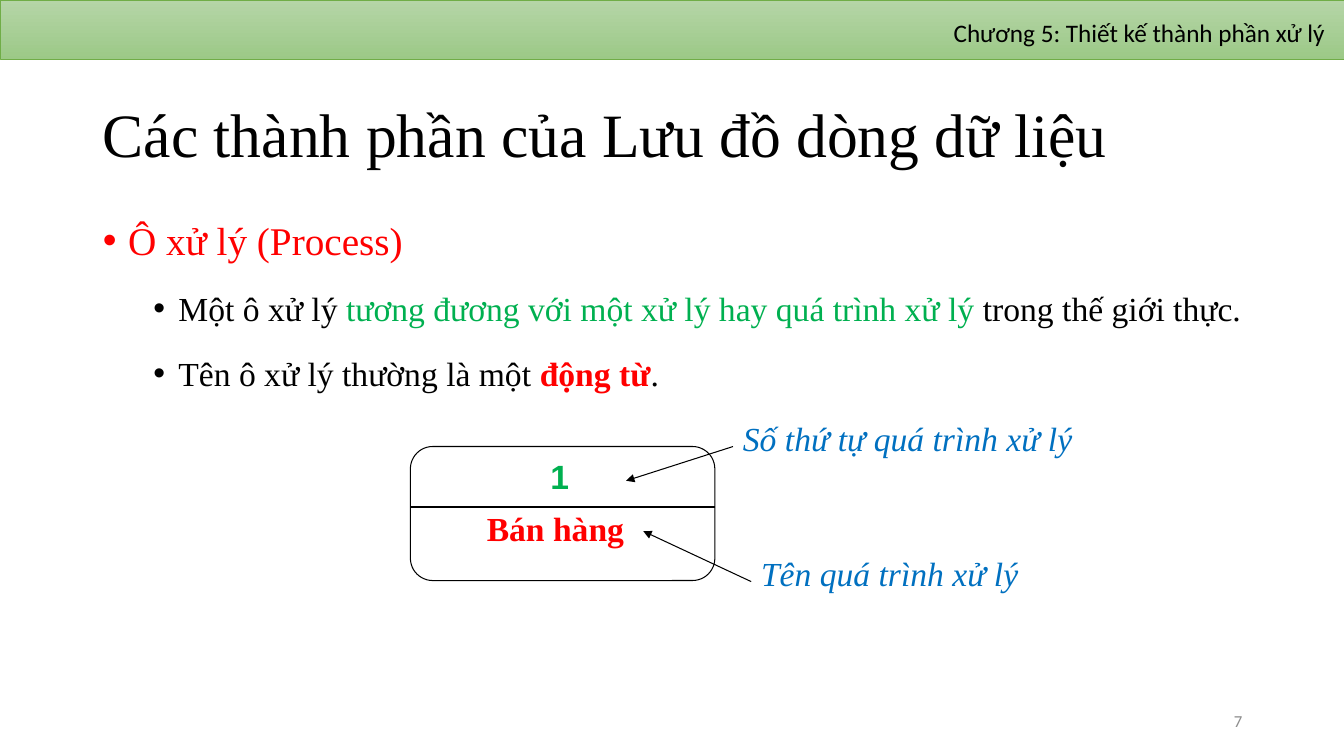
from lxml.etree import SubElement
from pptx import Presentation
from pptx.dml.color import RGBColor
from pptx.enum.shapes import MSO_CONNECTOR, MSO_SHAPE
from pptx.enum.text import MSO_ANCHOR as Anchor, MSO_AUTO_SIZE as AutoSize, PP_ALIGN as Align
from pptx.oxml.ns import qn
from pptx.util import Inches, Pt

BLACK = RGBColor(0x00, 0x00, 0x00)
WHITE = RGBColor(0xFF, 0xFF, 0xFF)
RED = RGBColor(0xFF, 0x00, 0x00)
GREEN = RGBColor(0x00, 0xB0, 0x50)
BLUE = RGBColor(0x00, 0x70, 0xC0)
GRAY = RGBColor(0x8C, 0x8C, 0x8C)
BAND_TOP = RGBColor(0xB5, 0xD5, 0xA7)
BAND_BOTTOM = RGBColor(0x9C, 0xC9, 0x87)
BAND_LINE = RGBColor(0x70, 0xAD, 0x47)
SERIF = "Times New Roman"


def add_run(paragraph, text, size=24, color=BLACK, font=SERIF, bold=False, italic=False):
    run = paragraph.add_run()
    run.text = text
    run.font.size, run.font.name = Pt(size), font
    run.font.bold, run.font.italic = bold, italic
    run.font.color.rgb = color


def add_label(slide, box, text, align=Align.LEFT, anchor=Anchor.TOP, **style):
    shape = slide.shapes.add_textbox(*map(Inches, box))
    frame = shape.text_frame
    frame.word_wrap, frame.vertical_anchor = True, anchor
    paragraph = frame.paragraphs[0]
    paragraph.alignment = align
    add_run(paragraph, text, **style)


def add_line(slide, start, end, arrow=False):
    line = slide.shapes.add_connector(MSO_CONNECTOR.STRAIGHT, *map(Inches, start + end))
    line.line.color.rgb, line.line.width = BLACK, Pt(0.75)
    if arrow:
        SubElement(line.line._get_or_add_ln(), qn("a:tailEnd"), type="triangle")
    SubElement(line._element.spPr, qn("a:effectLst"))


def place(shape, box):
    shape.left, shape.top, shape.width, shape.height = map(Inches, box)


def add_header(slide, box):
    left, top, width, height = box
    band = slide.shapes.add_shape(MSO_SHAPE.RECTANGLE, *map(Inches, box))
    band.shadow.inherit = False
    band.fill.gradient()
    band.fill.gradient_angle = 270
    for stop, color, position in zip(band.fill.gradient_stops, (BAND_TOP, BAND_BOTTOM), (0, 1)):
        stop.color.rgb, stop.position = color, position
    band.line.color.rgb, band.line.width = BAND_LINE, Pt(0.5)
    add_label(slide, (left + width - 5.79, top + 0.12, 5.7, 0.4),
              "Chương 5: Thiết kế thành phần xử lý", align=Align.RIGHT, size=18, font="Calibri")


def fill_title(slide, box, text):
    title = slide.shapes.title
    place(title, box)
    frame = title.text_frame
    frame.vertical_anchor, frame.auto_size = Anchor.MIDDLE, AutoSize.NONE
    paragraph = frame.paragraphs[0]
    paragraph.alignment, paragraph.line_spacing = Align.LEFT, 0.9
    add_run(paragraph, text, size=44)


def fill_body(slide, box, items):
    body = slide.placeholders[1]
    place(body, box)
    frame = body.text_frame
    frame.auto_size = AutoSize.NONE
    for index, (level, runs) in enumerate(items):
        paragraph = frame.add_paragraph() if index else frame.paragraphs[0]
        paragraph.level, paragraph.alignment = level, Align.JUSTIFY
        paragraph.line_spacing = 1.2
        paragraph.space_before = paragraph.space_after = Pt(6)
        properties = paragraph._p.get_or_add_pPr()
        properties.set("marL", str(Inches(0.25 + 0.5 * level)))
        properties.set("indent", str(Inches(-0.25)))
        SubElement(properties, qn("a:buFont"), typeface="Arial")
        SubElement(properties, qn("a:buChar"), char="•")
        for text, style in runs:
            add_run(paragraph, text, **style)


def add_process_diagram(slide, box):
    left, top, width, height = box
    process = slide.shapes.add_shape(MSO_SHAPE.ROUNDED_RECTANGLE, *map(Inches, box))
    process.shadow.inherit = False
    process.adjustments[0] = 0.167
    process.fill.solid()
    process.fill.fore_color.rgb = WHITE
    process.line.color.rgb, process.line.width = BLACK, Pt(0.75)
    add_line(slide, (left, top + 0.6), (left + width, top + 0.6))

    # Callouts: text, start of the arrow and its tip
    callouts = [
        ("Số thứ tự quá trình xử lý", (3.2, 0), (2.14, 0.34)),
        ("Tên quá trình xử lý", (3.38, 1.34), (2.31, 0.84)),
    ]
    for text, (x, y), (tip_x, tip_y) in callouts:
        add_label(slide, (left + x, top + y - 0.33, 3.55, 0.83), text, color=BLUE, italic=True)
        add_line(slide, (left + x, top + y), (left + tip_x, top + tip_y), arrow=True)

    # Number and name of the process
    add_label(slide, (left + 1.29, top + 0.04, 1.24, 0.63), "1",
              color=GREEN, font="Arial", bold=True)
    add_label(slide, (left + 0.66, top + 0.56, 2.13, 0.67), "Bán hàng", color=RED, bold=True)


presentation = Presentation()
presentation.slide_width, presentation.slide_height = Inches(13.33), Inches(7.5)
slide = presentation.slides.add_slide(presentation.slide_layouts[1])

add_header(slide, (0, 0, 13.33, 0.59))
fill_title(slide, (0.92, 0.88, 11.5, 0.97), "Các thành phần của Lưu đồ dòng dữ liệu")
fill_body(slide, (0.92, 2, 11.5, 4.76), [
    (0, [("Ô xử lý (Process)", dict(size=28, color=RED))]),
    (1, [("Một ô xử lý ", {}),
         ("tương đương với một xử lý hay quá trình xử lý", dict(color=GREEN)),
         (" trong thế giới thực.", {})]),
    (1, [("Tên ô xử lý thường là một ", {}),
         ("động từ", dict(color=RED, bold=True)),
         (".", {})]),
])
add_process_diagram(slide, (4.07, 4.43, 3.02, 1.33))

# Slide number
add_label(slide, (9.42, 6.95, 3, 0.4), "7", align=Align.RIGHT, anchor=Anchor.MIDDLE,
          size=12, color=GRAY, font="Calibri")

presentation.save("out.pptx")
